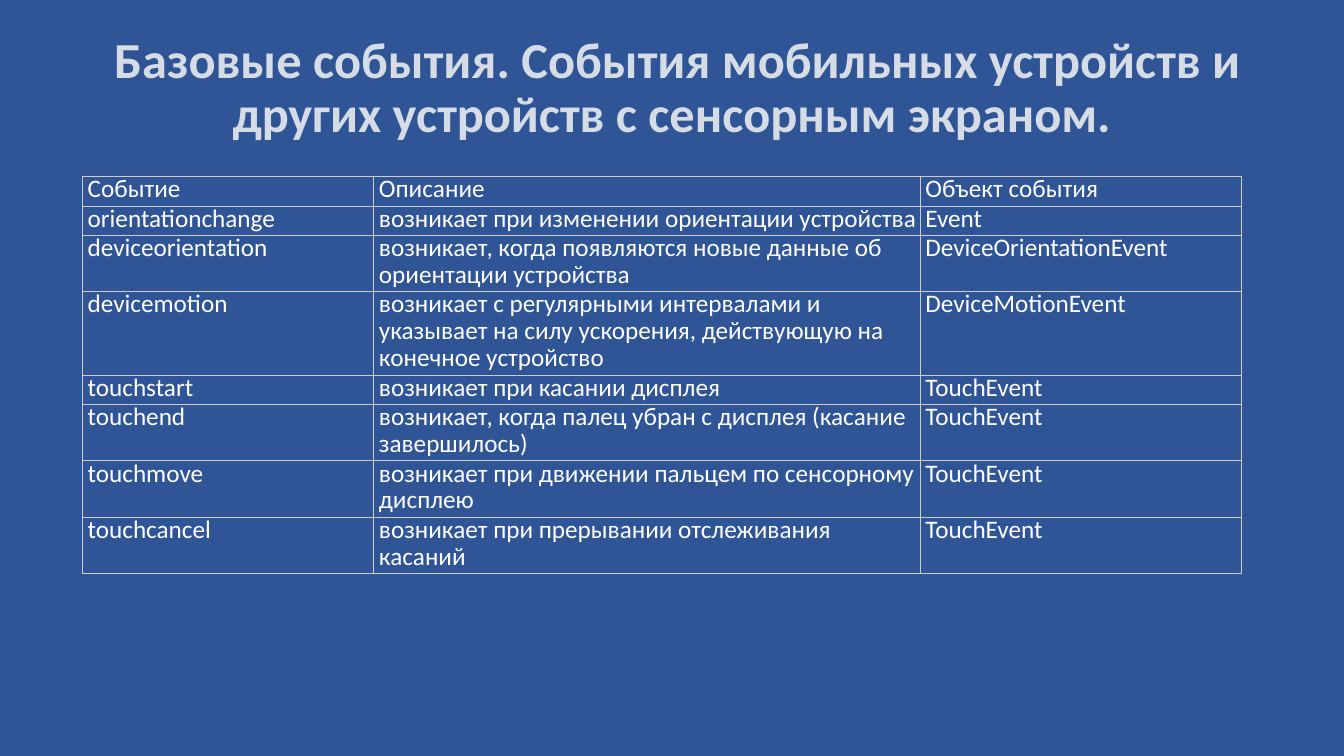
from dataclasses import dataclass

from lxml import etree
from pptx import Presentation
from pptx.dml.color import RGBColor
from pptx.enum.text import MSO_ANCHOR, PP_ALIGN
from pptx.oxml.ns import qn
from pptx.slide import Slide
from pptx.table import _Cell
from pptx.text.text import _Paragraph
from pptx.util import Cm, Pt

CENTER = PP_ALIGN.CENTER
BOTTOM = MSO_ANCHOR.BOTTOM

BACKGROUND = RGBColor(0x2F, 0x55, 0x97)
TITLE_COLOR = RGBColor(0xD6, 0xDC, 0xE5)
CELL_COLOR = RGBColor(0xFF, 0xFF, 0xFF)
BORDER_COLOR = RGBColor(0xCC, 0xCC, 0xCC)

TITLE = ("Базовые события. События мобильных устройств и других "
         "устройств с сенсорным экраном. ")
TITLE_FONT = {"name": "Calibri", "size": Pt(36), "bold": True}
CELL_FONT = {"name": "Calibri", "size": Pt(18)}
CELL_MARGINS = {"margin_left": Cm(0.13), "margin_right": Cm(0.08),
                "margin_top": Cm(0.03), "margin_bottom": Cm(0.03)}

COLUMN_WIDTHS = (7.34, 13.77, 8.1)
LINE_HEIGHT = 0.68
ROW_PADDING = 0.06


@dataclass(frozen=True)
class EventRow:
    event: str
    description: str
    event_object: str
    lines: int = 1


ROWS = (
    EventRow("Событие", "Описание", "Объект события"),
    EventRow("orientationchange",
             "возникает при изменении ориентации устройства", "Event"),
    EventRow("deviceorientation",
             "возникает, когда появляются новые данные об ориентации устройства",
             "DeviceOrientationEvent", 2),
    EventRow("devicemotion",
             "возникает с регулярными интервалами и указывает на силу ускорения, "
             "действующую на конечное устройство", "DeviceMotionEvent", 3),
    EventRow("touchstart", "возникает при касании дисплея", "TouchEvent"),
    EventRow("touchend",
             "возникает, когда палец убран с дисплея (касание завершилось)",
             "TouchEvent", 2),
    EventRow("touchmove",
             "возникает при движении пальцем по сенсорному дисплею",
             "TouchEvent", 2),
    EventRow("touchcancel", "возникает при прерывании отслеживания касаний",
             "TouchEvent", 2),
)


def set_attributes(target: object, values: dict) -> None:
    for name, value in values.items():
        setattr(target, name, value)


def write_text(paragraph: _Paragraph, text: str, font: dict, color: RGBColor) -> None:
    run = paragraph.add_run()
    run.text = text
    set_attributes(run.font, font)
    run.font.color.rgb = color


def add_borders(cell: _Cell) -> None:
    properties = cell._tc.get_or_add_tcPr()
    for position, side in enumerate(("a:lnL", "a:lnR", "a:lnT", "a:lnB")):
        line = etree.Element(qn(side), w=str(Pt(0.75)))
        fill = etree.SubElement(line, qn("a:solidFill"))
        etree.SubElement(fill, qn("a:srgbClr"), val=str(BORDER_COLOR))
        properties.insert(position, line)


def add_title(slide: Slide) -> None:
    box = slide.shapes.add_textbox(Cm(0.94), Cm(0.79), Cm(32.28), Cm(2.95))
    frame = box.text_frame
    set_attributes(frame, {"word_wrap": True, "vertical_anchor": BOTTOM})
    paragraph = frame.paragraphs[0]
    set_attributes(paragraph, {"alignment": CENTER, "line_spacing": 0.9})
    write_text(paragraph, TITLE, TITLE_FONT, TITLE_COLOR)


def fill_cell(cell: _Cell, text: str) -> None:
    set_attributes(cell, CELL_MARGINS)
    cell.fill.background()
    add_borders(cell)
    paragraph = cell.text_frame.paragraphs[0]
    paragraph.line_spacing = Pt(19.2)
    write_text(paragraph, text, CELL_FONT, CELL_COLOR)


def add_event_table(slide: Slide) -> None:
    heights = [row.lines * LINE_HEIGHT + ROW_PADDING for row in ROWS]
    frame = slide.shapes.add_table(
        len(ROWS), len(COLUMN_WIDTHS), Cm(2.08), Cm(4.45),
        Cm(sum(COLUMN_WIDTHS)), Cm(sum(heights)))
    table = frame.table
    set_attributes(table, {"first_row": False, "horz_banding": False})
    for column, width in zip(table.columns, COLUMN_WIDTHS):
        column.width = Cm(width)
    for table_row, height, row in zip(table.rows, heights, ROWS):
        table_row.height = Cm(height)
        texts = (row.event, row.description, row.event_object)
        for cell, text in zip(table_row.cells, texts):
            fill_cell(cell, text)


def main() -> None:
    presentation = Presentation()
    set_attributes(presentation, {"slide_width": Cm(33.87), "slide_height": Cm(19.05)})
    slide = presentation.slides.add_slide(presentation.slide_layouts[6])

    # Background
    background = slide.background.fill
    background.solid()
    background.fore_color.rgb = BACKGROUND

    # Title and table of events
    add_title(slide)
    add_event_table(slide)
    presentation.save("out.pptx")


if __name__ == "__main__":
    main()
